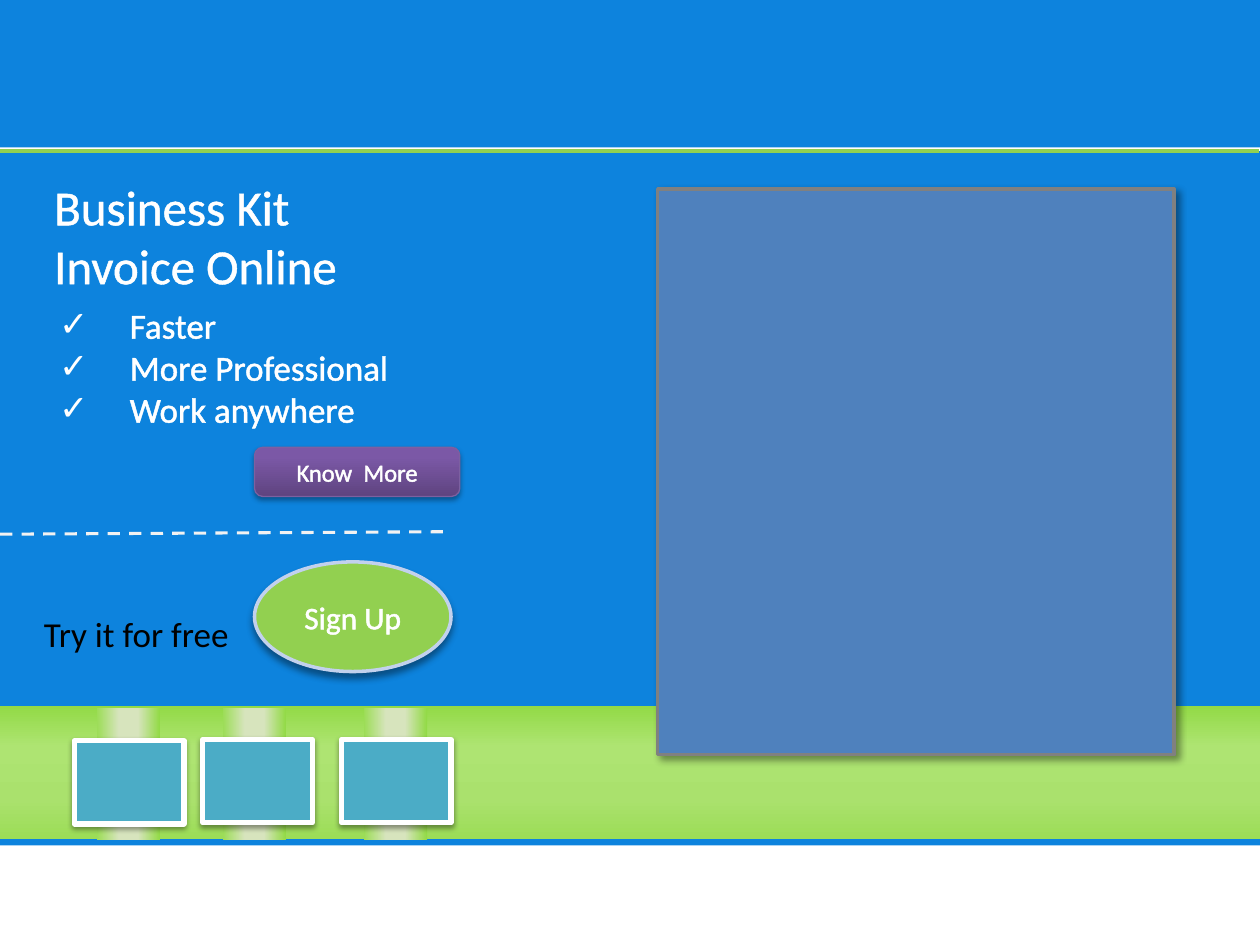
import pptx
import pptx.util
import pptx.dml.color
import pptx.enum.dml
import pptx.enum.shapes
import pptx.enum.text
import pptx.oxml
import pptx.oxml.ns
from lxml import etree

Inches = pptx.util.Inches
Pt = pptx.util.Pt
RGBColor = pptx.dml.color.RGBColor
Kind = pptx.enum.shapes.MSO_SHAPE
Align = pptx.enum.text.PP_ALIGN
Anchor = pptx.enum.text.MSO_ANCHOR
qn = pptx.oxml.ns.qn

WHITE = RGBColor(0xFF, 0xFF, 0xFF)
BLACK = RGBColor(0x00, 0x00, 0x00)
SKY = RGBColor(0x0D, 0x83, 0xDD)
GREEN = RGBColor(0x92, 0xD0, 0x50)
PALE_BLUE = RGBColor(0xC2, 0xD1, 0xED)
PALE_GREY = RGBColor(0xF2, 0xF2, 0xF2)
GREY = RGBColor(0x80, 0x80, 0x80)
PURPLE = RGBColor(0x7D, 0x60, 0xA0)
TEAL = RGBColor(0x4B, 0xAC, 0xC6)
STEEL = RGBColor(0x4F, 0x81, 0xBD)
LEAF = RGBColor(0x9C, 0xDD, 0x57)
LIME = RGBColor(0x92, 0xDA, 0x46)
SAND = RGBColor(0xD7, 0xE4, 0xBD)

BAND_STOPS = [(0, LEAF), (30, RGBColor(0xAA, 0xE1, 0x6D)),
              (69, RGBColor(0xAE, 0xE4, 0x72)), (100, LIME)]
BUTTON_STOPS = [(0, RGBColor(0x5F, 0x44, 0x80)), (80, RGBColor(0x7B, 0x58, 0xA6)),
                (100, RGBColor(0x7C, 0x57, 0xA8))]
STRIPE_STOPS = [(0, LEAF), (35, SAND), (65, SAND), (100, LIME)]


class Page:
    """Holds the style and the current slide, with one method per kind of element."""

    font = "Calibri"
    outline_width = 1.45

    def __init__(self, slide):
        self.slide = slide

    def child(self, parent, tag, **attributes):
        return etree.SubElement(parent, qn(tag), {k: str(v) for k, v in attributes.items()})

    def add_lines(self, frame, lines, size, color=WHITE, align=Align.LEFT, outlined=True):
        for index, line in enumerate(lines):
            paragraph = frame.paragraphs[0] if index == 0 else frame.add_paragraph()
            paragraph.alignment = align
            paragraph.space_before = Pt(0)
            run = paragraph.add_run()
            run.text = line
            run.font.name = self.font
            run.font.size = Pt(size)
            run.font.color.rgb = color
            if outlined:
                outline = pptx.oxml.parse_xml(
                    f'<a:ln {pptx.oxml.ns.nsdecls("a")} w="{Pt(self.outline_width)}">'
                    f'<a:solidFill><a:srgbClr val="{color}"/></a:solidFill></a:ln>')
                run.font._element.insert(0, outline)

    def fit(self, frame):
        frame.word_wrap = False
        frame.auto_size = pptx.enum.text.MSO_AUTO_SIZE.SHAPE_TO_FIT_TEXT
        frame.vertical_anchor = Anchor.TOP

    def placeholder(self, holder, box, lines, size):
        holder.left, holder.top, holder.width, holder.height = map(Inches, box)
        holder.element.getparent().append(holder.element)
        self.fit(holder.text_frame)
        self.add_lines(holder.text_frame, lines, size)

    def checklist(self, holder, box, lines, size, indent):
        self.placeholder(holder, box, lines, size)
        for paragraph in holder.text_frame.paragraphs:
            properties = paragraph._p.get_or_add_pPr()
            properties.set("marL", str(Inches(indent)))
            properties.set("indent", str(-Inches(indent)))
            self.child(properties, "a:buChar", char="✓")

    def text(self, box, line, size, color):
        frame = self.slide.shapes.add_textbox(*map(Inches, box)).text_frame
        self.fit(frame)
        self.add_lines(frame, [line], size, color, outlined=False)

    def gradient(self, shape, stops, angle):
        shape.fill.gradient()
        shape.fill.gradient_angle = angle
        stop_list = shape._element.spPr.find(qn("a:gradFill")).find(qn("a:gsLst"))
        for default_stop in list(stop_list):
            stop_list.remove(default_stop)
        for position, color in stops:
            stop = self.child(stop_list, "a:gs", pos=position * 1000)
            self.child(stop, "a:srgbClr", val=color)

    def cast_shadow(self, shape, opacity, blur, distance, angle):
        effects = shape._element.spPr.find(qn("a:effectLst"))
        outer = self.child(effects, "a:outerShdw", blurRad=Pt(blur), dist=Pt(distance),
                           dir=angle * 60000, rotWithShape=0)
        color = self.child(outer, "a:srgbClr", val=BLACK)
        self.child(color, "a:alpha", val=opacity * 1000)

    def shape(self, box, fill, kind=Kind.RECTANGLE, angle=0, line=None, shadow=None,
              label=None, size=18):
        shape = self.slide.shapes.add_shape(kind, *map(Inches, box))
        if isinstance(fill, list):
            self.gradient(shape, fill, angle)
        else:
            shape.fill.solid()
            shape.fill.fore_color.rgb = fill
        if line:
            shape.line.color.rgb, shape.line.width = line[0], Pt(line[1])
        else:
            shape.line.fill.background()
        shape.shadow.inherit = False
        if shadow:
            self.cast_shadow(shape, *shadow)
        if label:
            shape.text_frame.vertical_anchor = Anchor.MIDDLE
            self.add_lines(shape.text_frame, [label], size, align=Align.CENTER)

    def line(self, start, end, color, width, dash=None):
        rule = self.slide.shapes.add_connector(
            pptx.enum.shapes.MSO_CONNECTOR.STRAIGHT, *map(Inches, start + end))
        rule.line.color.rgb = color
        rule.line.width = Pt(width)
        if dash:
            rule.line.dash_style = dash
        self.child(rule._element.spPr, "a:effectLst")


def main():
    deck = pptx.Presentation()
    deck.slide_width, deck.slide_height = Inches(10), Inches(7.5)
    slide = deck.slides.add_slide(deck.slide_layouts[1])
    title, body = slide.placeholders
    page = Page(slide)

    page.shape((-0.01, 1.2, 10.01, 5.51), SKY)
    page.placeholder(title, (0.33, 1.35, 2.47, 1.04), ["Business Kit", "Invoice Online"], 28)
    page.shape((0, -0.02, 10, 1.19), SKY)
    page.line((0, 4.24), (3.58, 4.22), PALE_GREY, 1.75, pptx.enum.dml.MSO_LINE.DASH)
    page.shape((2.02, 4.46, 1.56, 0.87), GREEN, Kind.OVAL, line=(PALE_BLUE, 2),
               shadow=(40, 4, 3, 90), label="Sign Up")
    page.line((-0.01, 1.2), (9.99, 1.2), GREEN, 2.25)
    page.checklist(body, (0.37, 2.36, 2.84, 1.58),
                   ["Faster", "More Professional", "Work anywhere"], 20, 0.56)
    page.shape((-0.01, 5.6, 10.02, 1.06), BAND_STOPS, angle=90)
    page.text((0.25, 4.81, 1.68, 0.44), "Try it for free", 20, BLACK)
    page.shape((2.02, 3.55, 1.63, 0.39), BUTTON_STOPS, Kind.ROUNDED_RECTANGLE, 90,
               (PURPLE, 0.75), (35, 3.1, 1.8, 90), "Know  More", 14)

    for stripe_left, tile_left, tile_top in ((0.77, 0.59, 5.88), (1.77, 1.61, 5.87),
                                             (2.89, 2.71, 5.87)):
        page.shape((stripe_left, 5.62, 0.5, 1.05), STRIPE_STOPS)
        page.shape((tile_left, tile_top, 0.87, 0.66), TEAL, line=(WHITE, 3),
                   shadow=(38, 3.1, 1.6, 90))

    page.shape((5.22, 1.5, 4.1, 4.49), STEEL, line=(GREY, 2), shadow=(40, 4, 3, 45))
    deck.save("out.pptx")


if __name__ == "__main__":
    main()
